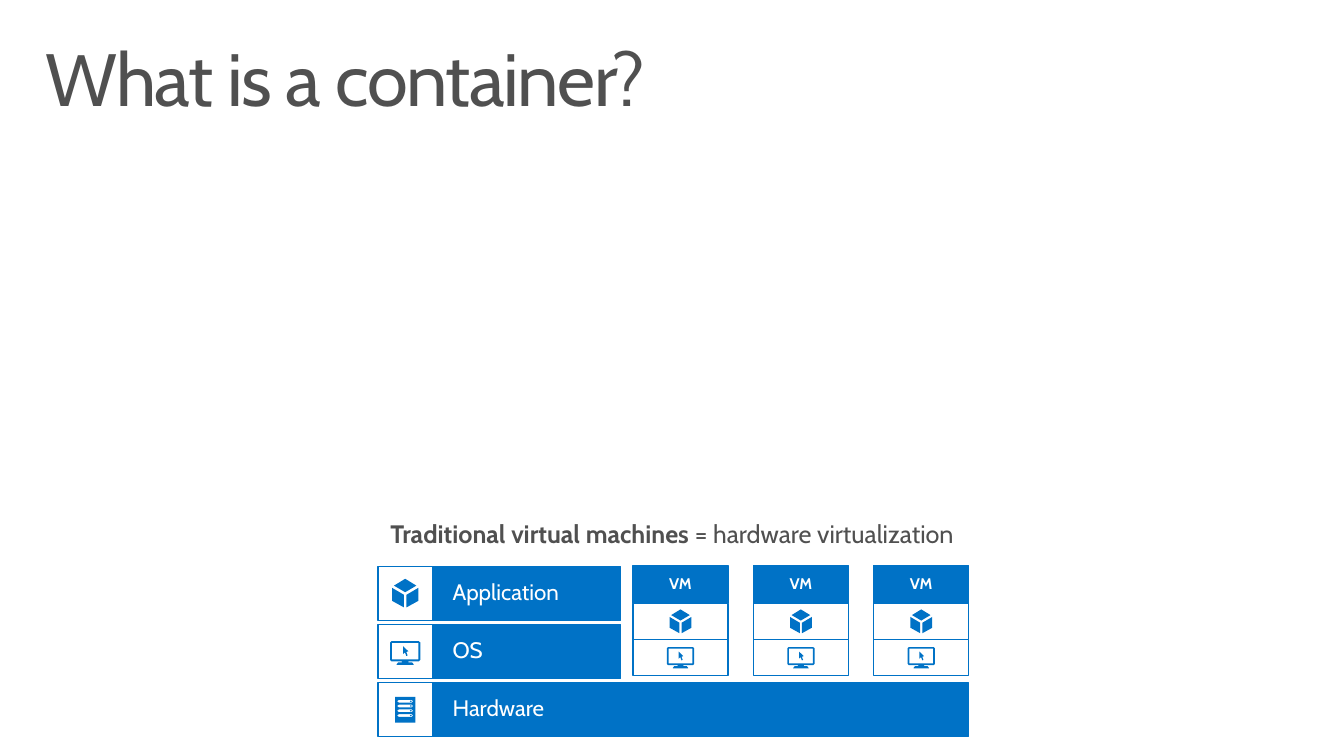
from dataclasses import dataclass

from pptx import Presentation
from pptx import util as u
from pptx.dml import color
from pptx.enum import shapes, text


@dataclass(frozen=True)
class Theme:
    font: str = "Cabin"
    blue: str = "0072C6"
    white: str = "FFFFFF"
    grey: str = "505050"
    title: float = 52.9
    caption: float = 18
    label: float = 16
    vm: float = 11
    outline: float = 0.85


# Icon outlines: points from the middle of the top edge
CUBE_FACES = [
    [(-0.9, 11.5), (-0.9, 20.5), (-9.4, 15.8), (-9.4, 6.5)],
    [(0.9, 11.5), (0.9, 20.5), (9.4, 15.8), (9.4, 6.5)],
    [(0, 9.6), (-8, 4.9), (0, 0), (8, 4.9)],
]
MONITOR_FRAME = [(-9.8, 0), (9.8, 0), (10.8, 1), (10.8, 13.4), (9.8, 14.4),
                 (2.3, 14.4), (2.3, 15.2), (5, 15.2), (6.1, 16.6), (6.1, 17),
                 (-6.1, 17), (-6.1, 16.6), (-5, 15.2), (-2.3, 15.2),
                 (-2.3, 14.4), (-9.8, 14.4), (-10.8, 13.4), (-10.8, 1)]
MONITOR_SCREEN = [(-9.5, 1.3), (-9.5, 13), (9.5, 13), (9.5, 1.3)]
CURSOR = [(-1.5, 3.6), (2.2, 7.2), (0.8, 7.7), (1.7, 10.2), (0.8, 10.6),
          (-0.2, 8), (-1.5, 9.2)]
SERVER_CASE = [(-7.2, 0), (-7.2, 18.4), (7.2, 18.4), (7.2, 0)]
SLOT = [(-5.7, 1), (-4.6, 0), (4.6, 0), (5.7, 1), (4.6, 2), (-4.6, 2)]
SLOT_TOPS = [2.2 + 3.4 * number for number in range(4)]


class Slide:
    def __init__(self, presentation, theme):
        self.theme = theme
        self.slide = presentation.slides.add_slide(presentation.slide_layouts[6])

    def add_text(self, shape, runs, size, ink, insets, align=None, after=0,
                 anchor=text.MSO_ANCHOR.TOP, spacing=None):
        """Fill a shape with one paragraph of (words, bold) runs."""
        frame = shape.text_frame
        frame.word_wrap = True
        frame.vertical_anchor = anchor
        (frame.margin_left, frame.margin_top,
         frame.margin_right, frame.margin_bottom) = map(u.Pt, insets)
        paragraph = frame.paragraphs[0]
        paragraph.alignment = align or text.PP_ALIGN.LEFT
        paragraph.line_spacing = 0.9
        paragraph.space_after = u.Pt(after)
        for words, bold in runs:
            run = paragraph.add_run()
            run.text = words
            run.font.name = self.theme.font
            run.font.size = u.Pt(size)
            run.font.bold = bold
            run.font.color.rgb = color.RGBColor.from_string(ink)
            if spacing:
                run.font._element.set("spc", str(spacing))

    def text_box(self, left, top, width, height, runs, size, insets, **style):
        box = self.slide.shapes.add_textbox(*map(u.Pt, (left, top, width, height)))
        self.add_text(box, runs, size, self.theme.grey, insets, **style)

    def paint(self, shape, fill, outlined=False):
        shape.shadow.inherit = False
        shape.fill.solid()
        shape.fill.fore_color.rgb = color.RGBColor.from_string(fill)
        if outlined:
            shape.line.color.rgb = color.RGBColor.from_string(self.theme.blue)
            shape.line.width = u.Pt(self.theme.outline)
        else:
            shape.line.fill.background()

    def block(self, left, top, width, height, fill):
        shape = self.slide.shapes.add_shape(
            shapes.MSO_SHAPE.RECTANGLE, *map(u.Pt, (left, top, width, height)))
        self.paint(shape, fill, outlined=True)
        return shape

    def outline(self, center, top, scale, *contours):
        """Draw one shape; contours inside the first are holes."""
        placed = [[(u.Pt(center + x * scale), u.Pt(top + y * scale))
                   for x, y in contour] for contour in contours]
        builder = self.slide.shapes.build_freeform(*placed[0][0])
        builder.add_line_segments(placed[0][1:], close=True)
        for hole in placed[1:]:
            builder.move_to(*hole[0])
            builder.add_line_segments(hole[1:], close=True)
        self.paint(builder.convert_to_shape(), self.theme.blue)

    def cube(self, center, top, scale=1):
        for face in CUBE_FACES:
            self.outline(center, top, scale, face)

    def monitor(self, center, top, scale=1):
        self.outline(center, top, scale, MONITOR_FRAME, MONITOR_SCREEN)
        self.outline(center, top, scale, CURSOR)

    def server(self, center, top, scale=1):
        slots = [[(x, y + slot_top) for x, y in SLOT] for slot_top in SLOT_TOPS]
        self.outline(center, top, scale, SERVER_CASE, *slots)
        for slot_top in SLOT_TOPS:
            light = self.slide.shapes.add_shape(
                shapes.MSO_SHAPE.OVAL, u.Pt(center + 3.4 * scale),
                u.Pt(top + (slot_top + 0.5) * scale),
                u.Pt(1.2 * scale), u.Pt(scale))
            self.paint(light, self.theme.blue)

    def layer(self, top, width, label, icon, icon_drop):
        left, tile, height = 270, 38.9, 38.3
        bar = self.block(left + tile, top, width, height, self.theme.blue)
        self.add_text(bar, [(label, False)], self.theme.label, self.theme.white,
                      (14.4, 11.5, 14.4, 11.5), anchor=text.MSO_ANCHOR.MIDDLE)
        self.block(left, top, tile, height, self.theme.white)
        icon(left + tile / 2, top + icon_drop)

    def virtual_machine(self, left, top):
        width, header, cell = 67.8, 26.9, 26
        center = left + width / 2
        for row in range(2):
            self.block(left, top + header + row * cell, width, cell,
                       self.theme.white)
        self.cube(center, top + 31.4, 0.83)
        self.monitor(center, top + 58.3, 0.9)
        head = self.block(left, top, width, header, self.theme.blue)
        self.add_text(head, [("VM", True)], self.theme.vm, self.theme.white,
                      (3.6,) * 4, text.PP_ALIGN.CENTER, after=6,
                      anchor=text.MSO_ANCHOR.MIDDLE)


def main():
    presentation = Presentation()
    presentation.slide_width = u.Pt(960)
    presentation.slide_height = u.Pt(540)
    theme = Theme()
    slide = Slide(presentation, theme)

    # Title and caption
    slide.text_box(21, 23, 918, 70.6, [("What is a container?", False)],
                   theme.title, (11.5, 7.2, 11.5, 7.2), spacing=-100)
    slide.text_box(0, 373, 960, 31,
                   [("Traditional virtual machines ", True),
                    ("= hardware virtualization", False)],
                   theme.caption, (14.4, 0, 14.4, 11.5),
                   align=text.PP_ALIGN.CENTER, after=6)

    # Host layers
    layers = [(134.6, "Application", slide.cube, 8.7),
              (134.6, "OS", slide.monitor, 11.8),
              (383, "Hardware", slide.server, 10)]
    for number, (width, label, icon, icon_drop) in enumerate(layers):
        slide.layer(404.7 + 41.5 * number, width, label, icon, icon_drop)

    # Virtual machines
    for number in range(3):
        slide.virtual_machine(452.2 + 86 * number, 403.9)

    presentation.save("out.pptx")


if __name__ == "__main__":
    main()
